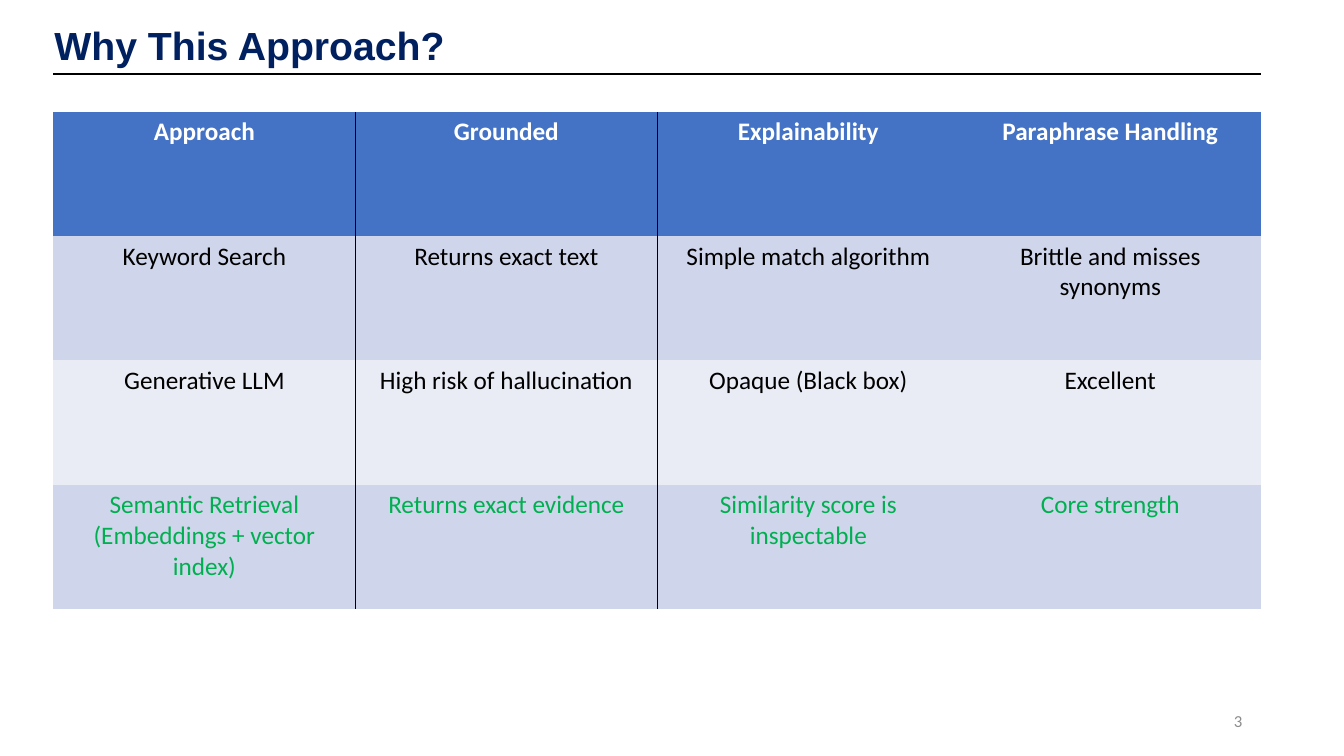
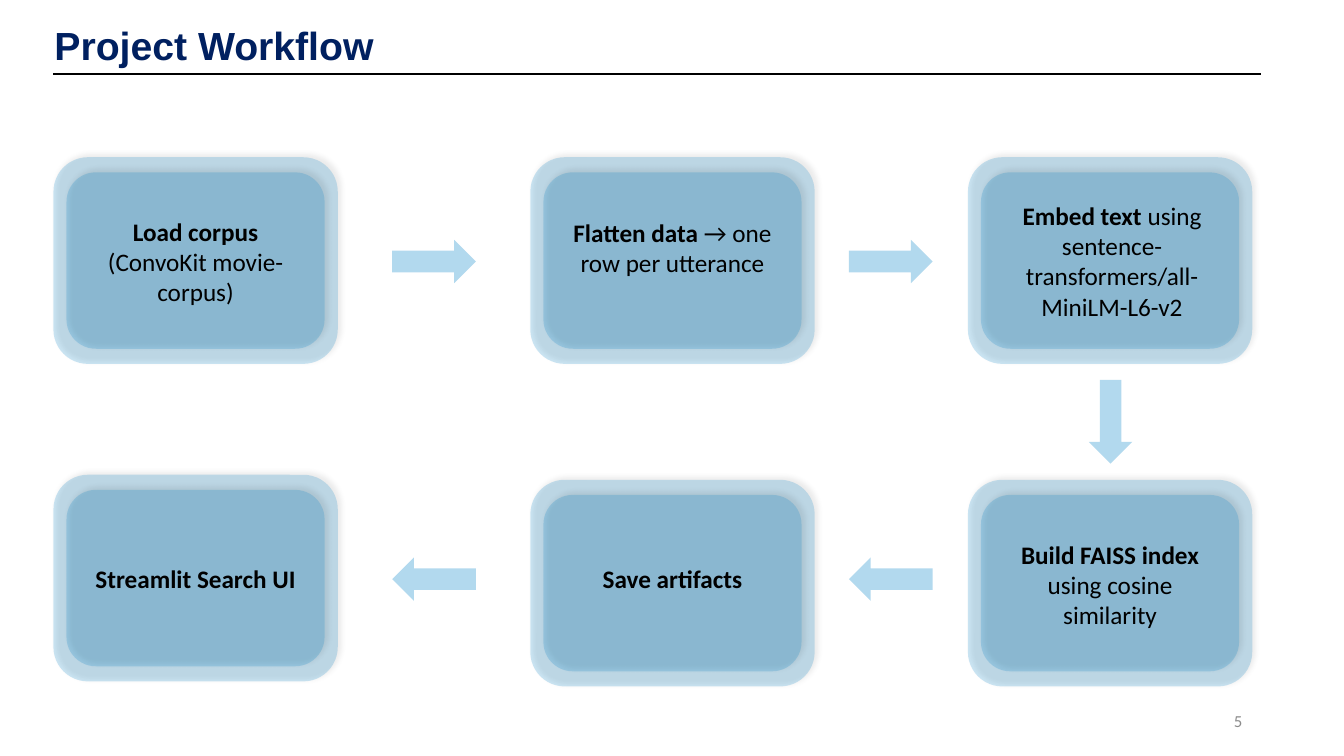
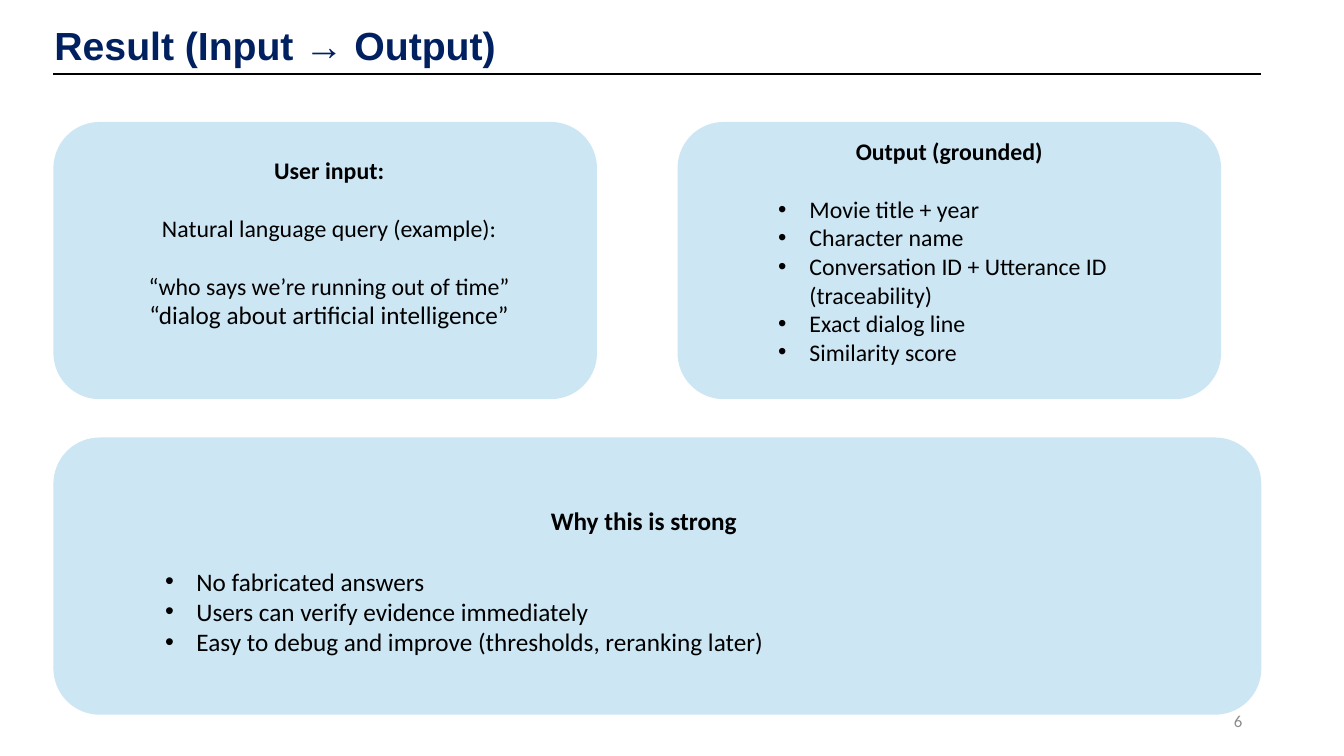
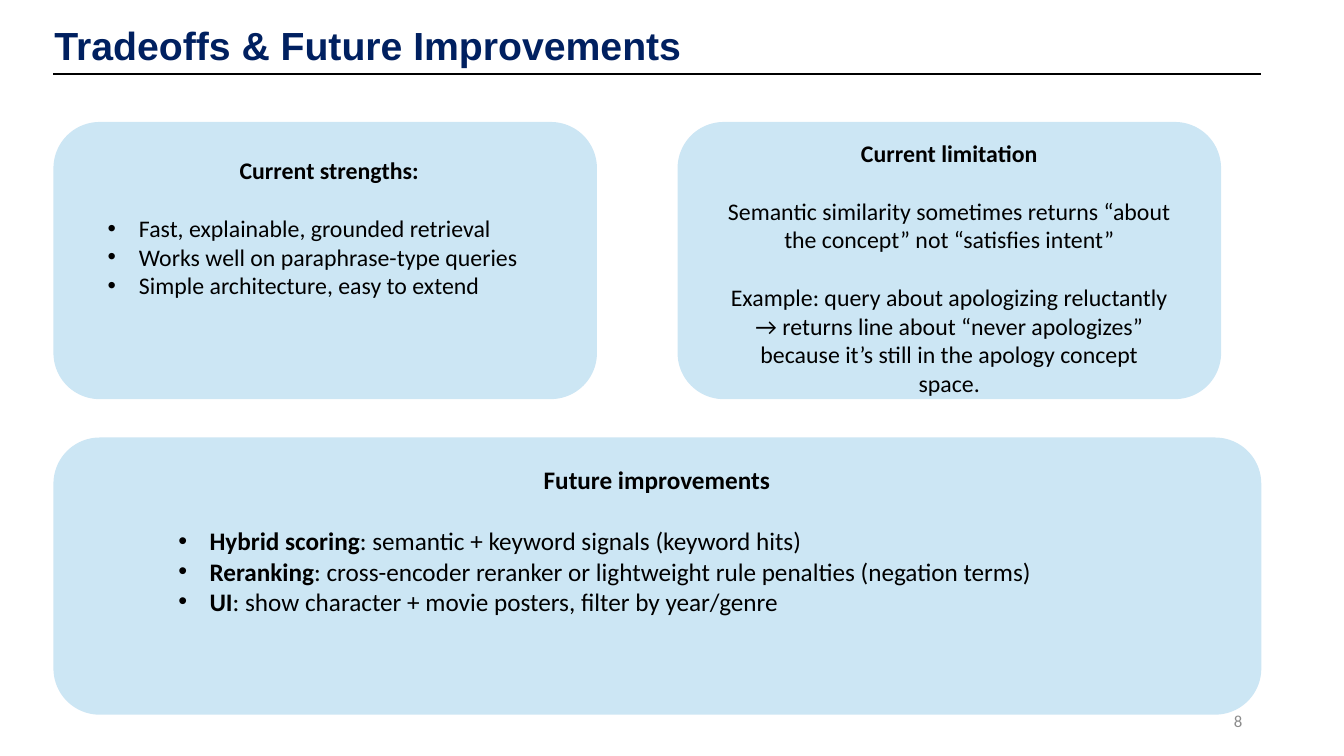
from dataclasses import dataclass

from lxml.etree import SubElement
from pptx import Presentation
from pptx.dml.color import RGBColor
from pptx.enum.shapes import MSO_CONNECTOR, MSO_SHAPE
from pptx.enum.text import MSO_ANCHOR, MSO_AUTO_SIZE, PP_ALIGN
from pptx.oxml.ns import qn
from pptx.util import Inches, Pt

SLIDE_W, SLIDE_H = 13.33, 7.5
MARGIN, CONTENT_W = 0.53, 11.98
LINE_HEIGHT = 1.22
NO_TABLE_STYLE = "{2D5ABB26-0587-4C30-8999-92F81FD0307C}"
COLORS = {
    "navy": "002060", "blue": "0082C8", "black": "000000", "white": "FFFFFF",
    "gray": "8C8C8C", "green": "00B050", "header": "4472C4",
    "band_dark": "CFD5EA", "band_light": "E9EBF5",
}
TITLE_FONT = {"name": "Arial", "size": Pt(28), "bold": True}
BODY_FONT = {"name": "Calibri", "size": Pt(18), "bold": False}


@dataclass
class Para:
    """A paragraph; text between ** marks is bold, gap leaves one line above."""
    text: str
    gap: bool = False
    indent: float = 0
    size: float = 0


def rgb(name):
    return RGBColor.from_string(COLORS[name])


def apply(obj, values):
    for name, value in values.items():
        setattr(obj, name, value)


def inches(box):
    return [Inches(v) for v in box]


def add_runs(p, text, font=BODY_FONT, color="black"):
    for i, part in enumerate(text.split("**")):
        if part:
            r = p.add_run()
            r.text = part
            apply(r.font, font)
            r.font.color.rgb = rgb(color)
            if i % 2:
                r.font.bold = True


def add_bullet(p, indent):
    pPr = p._p.get_or_add_pPr()
    pPr.set("marL", str(Inches(indent)))
    pPr.set("indent", str(Inches(-0.31)))
    SubElement(pPr, qn("a:buFont"), typeface="Arial")
    SubElement(pPr, qn("a:buChar"), char="•")


def add_text(slide, box, paras, size=18, color="black",
             align=PP_ALIGN.CENTER, anchor=MSO_ANCHOR.TOP):
    tf = slide.shapes.add_textbox(*inches(box)).text_frame
    apply(tf, {"word_wrap": True, "vertical_anchor": anchor})
    for i, para in enumerate(paras):
        p = tf.add_paragraph() if i else tf.paragraphs[0]
        p.alignment = PP_ALIGN.LEFT if para.indent else align
        if para.gap:
            p.space_before = Pt(round(size * LINE_HEIGHT, 1))
        if para.indent:
            add_bullet(p, para.indent)
        add_runs(p, para.text, {**BODY_FONT, "size": Pt(para.size or size)}, color)


def add_tinted(shapes, kind, box, alpha):
    """Add a borderless shape in see-through blue; alpha is in percent."""
    sp = shapes.add_shape(kind, *inches(box))
    sp.shadow.inherit = False
    sp.fill.solid()
    sp.fill.fore_color.rgb = rgb("blue")
    sp.line.fill.background()
    clr = sp._element.spPr.find(".//" + qn("a:srgbClr"))
    SubElement(clr, qn("a:alpha"), val=str(alpha * 1000))
    return sp


def add_shadow(sp):
    effects = sp._element.spPr.find(qn("a:effectLst"))
    shadow = SubElement(effects, qn("a:outerShdw"), blurRad=str(Pt(4)),
                        dist=str(Pt(3)), dir=str(315 * 60000), rotWithShape="0")
    clr = SubElement(shadow, qn("a:srgbClr"), val=COLORS["black"])
    SubElement(clr, qn("a:alpha"), val="40000")


def add_base_slide(prs, title, number):
    """Add a slide with the shared title, rule and page number."""
    slide = prs.slides.add_slide(prs.slide_layouts[5])
    rule = slide.shapes.add_connector(
        MSO_CONNECTOR.STRAIGHT, *inches((MARGIN, 0.73, MARGIN + CONTENT_W, 0.73)))
    rule.line.color.rgb = rgb("black")
    rule.line.width = Pt(1.5)
    SubElement(rule._element.spPr, qn("a:effectLst"))

    sp = slide.shapes.title
    apply(sp, dict(zip(("left", "top", "width", "height"),
                       inches((MARGIN, 0.17, 10.77, 0.51)))))
    tf = sp.text_frame
    apply(tf, {"margin_left": Inches(0.01), "margin_top": Inches(0.03),
               "margin_right": 0, "margin_bottom": 0, "word_wrap": True,
               "vertical_anchor": MSO_ANCHOR.BOTTOM,
               "auto_size": MSO_AUTO_SIZE.NONE})
    p = tf.paragraphs[0]
    apply(p, {"alignment": PP_ALIGN.LEFT, "space_before": Pt(2.5)})
    add_runs(p, title, TITLE_FONT, "navy")

    add_text(slide, (9.42, 6.95, 3, 0.4), [Para(str(number))], 12, "gray",
             PP_ALIGN.RIGHT, MSO_ANCHOR.MIDDLE)
    return slide


def add_cell_border(cell, side):
    ln = SubElement(cell._tc.get_or_add_tcPr(), qn(f"a:{side}"), w=str(Pt(1)))
    fill = SubElement(ln, qn("a:solidFill"))
    SubElement(fill, qn("a:srgbClr"), val=COLORS["black"])


def add_comparison(slide, box, rows):
    """Add a table whose header is bold and whose last row is highlighted."""
    table = slide.shapes.add_table(len(rows), len(rows[0]), *inches(box)).table
    table._tbl.tblPr.find(qn("a:tableStyleId")).text = NO_TABLE_STYLE
    apply(table, {"first_row": False, "horz_banding": False})
    styles = [("header", "white"), ("band_dark", "black"),
              ("band_light", "black"), ("band_dark", "green")]
    for i, (row, (fill, color)) in enumerate(zip(rows, styles)):
        for j, text in enumerate(row):
            cell = table.cell(i, j)
            if j < 2:
                add_cell_border(cell, ("lnR", "lnL")[j])
            cell.fill.solid()
            cell.fill.fore_color.rgb = rgb(fill)
            for k, line in enumerate(text.split("\n")):
                tf = cell.text_frame
                p = tf.add_paragraph() if k else tf.paragraphs[0]
                p.alignment = PP_ALIGN.CENTER
                add_runs(p, line, {**BODY_FONT, "bold": i == 0}, color)


def add_step_card(slide, box):
    x, y, w, h = box
    dx, dy = 0.13, 0.15
    group = slide.shapes.add_group_shape()
    for part in (box, (x + dx, y + dy, w - 2 * dx, h - 2 * dy)):
        add_shadow(add_tinted(group.shapes, MSO_SHAPE.FLOWCHART_ALTERNATE_PROCESS,
                              part, 20))


def add_arrow(slide, x, y, rotation):
    arrow = add_tinted(slide.shapes, MSO_SHAPE.RIGHT_ARROW, (x, y, 0.83, 0.43), 30)
    arrow.rotation = rotation


def add_workflow(slide, steps, arrows):
    """Each step is left, top, shift of its text (x, y) and wording."""
    w, h, inset = 2.82, 2.05, 0.29
    for x, y, _, _ in [step[:4] for step in steps]:
        add_step_card(slide, (x, y, w, h))
    for arrow in arrows:
        add_arrow(slide, *arrow)
    for x, y, dx, dy, text in steps:
        add_text(slide, (x + inset + dx, y + dy, w - 2 * inset, h), [Para(text)],
                 anchor=MSO_ANCHOR.MIDDLE)


def add_panel(slide, box, text_at, paras, size):
    """Add a rounded panel; text_at is left, top and width inside it."""
    x, y, _, h = box
    dx, dy, w = text_at
    add_tinted(slide.shapes, MSO_SHAPE.ROUNDED_RECTANGLE, box, 20)
    add_text(slide, (x + dx, y + dy, w, h - dy), paras, size)


def add_three_panels(slide, panels):
    """Fill two panels side by side and a wide one below them."""
    h, half = 2.75, 0.45 * CONTENT_W
    boxes = [(MARGIN, 1.21, half, h), (6.72, 1.21, half, h),
             (MARGIN, 4.34, CONTENT_W, h)]
    for box, size, (text_at, paras) in zip(boxes, (17, 17, 18), panels):
        add_panel(slide, box, text_at, paras, size)


def with_bullets(heading, items, indent=0.81):
    return [Para(f"**{heading}**")] + [
        Para(item, gap=i == 0, indent=indent) for i, item in enumerate(items)]


def build_approach(prs):
    slide = add_base_slide(prs, "Why This Approach?", 3)
    add_comparison(slide, (MARGIN, 1.11, CONTENT_W, 4.93), [
        ("Approach", "Grounded", "Explainability", "Paraphrase Handling"),
        ("Keyword Search", "Returns exact text", "Simple match algorithm",
         "Brittle and misses synonyms"),
        ("Generative LLM", "High risk of hallucination", "Opaque (Black box)",
         "Excellent"),
        ("Semantic Retrieval\n(Embeddings + vector index)",
         "Returns exact evidence", "Similarity score is inspectable",
         "Core strength"),
    ])


def build_workflow(prs):
    slide = add_base_slide(prs, "Project Workflow", 5)
    left, middle, right = MARGIN, 5.26, 9.6
    top, bottom = 1.56, 4.76
    steps = [
        (left, top, 0, 0.01, "**Load corpus** (ConvoKit movie-corpus)"),
        (middle, top, 0, -0.13, "**Flatten data** → one row per utterance"),
        (right, top, 0.02, 0,
         "**Embed text** using sentence-transformers/all-MiniLM-L6-v2"),
        (left, bottom - 0.05, 0, 0, "**Streamlit Search UI**"),
        (middle, bottom, 0, -0.05, "**Save artifacts**"),
        (right, bottom, 0, 0.01, "**Build FAISS index** using cosine similarity"),
    ]
    arrows = [(x, y, rotation) for y, rotation in ((2.38, 0), (5.53, 180))
              for x in (3.89, 8.42)] + [(10.6, 3.97, 90)]
    add_workflow(slide, steps, arrows)


def build_result(prs):
    slide = add_base_slide(prs, "Result (Input → Output)", 6)
    add_three_panels(slide, [
        ((0.44, 0.29, 4.59), [
            Para("**User input:**"),
            Para("Natural language query (example):", gap=True),
            Para("“who says we’re running out of time”", gap=True),
            Para("“dialog about artificial intelligence”", size=18)]),
        ((0.4, 0.1, 4.59), with_bullets("Output (grounded)", [
            "Movie title + year", "Character name",
            "Conversation ID + Utterance ID (traceability)",
            "Exact dialog line", "Similarity score"])),
        ((0.51, 0.62, 10.69), with_bullets("Why this is strong", [
            "No fabricated answers", "Users can verify evidence immediately",
            "Easy to debug and improve (thresholds, reranking later)"])),
    ])


def build_tradeoffs(prs):
    slide = add_base_slide(prs, "Tradeoffs & Future Improvements", 8)
    add_three_panels(slide, [
        ((0.44, 0.29, 4.59), with_bullets("Current strengths:", [
            "Fast, explainable, grounded retrieval",
            "Works well on paraphrase-type queries",
            "Simple architecture, easy to extend"], indent=0.31)),
        ((0.4, 0.12, 4.59), [
            Para("**Current limitation**"),
            Para("Semantic similarity sometimes returns “about the concept” "
                 "not “satisfies intent”", gap=True),
            Para("Example: query about apologizing reluctantly → returns line "
                 "about “never apologizes” because it’s still in the apology "
                 "concept space.", gap=True)]),
        ((0.64, 0.22, 10.69), with_bullets("Future improvements", [
            "**Hybrid scoring**: semantic + keyword signals (keyword hits)",
            "**Reranking**: cross-encoder reranker or lightweight rule "
            "penalties (negation terms)",
            "**UI**: show character + movie posters, filter by year/genre"])),
    ])


def main():
    prs = Presentation()
    apply(prs, {"slide_width": Inches(SLIDE_W), "slide_height": Inches(SLIDE_H)})
    for build in (build_approach, build_workflow, build_result, build_tradeoffs):
        build(prs)
    prs.save("out.pptx")


if __name__ == "__main__":
    main()
